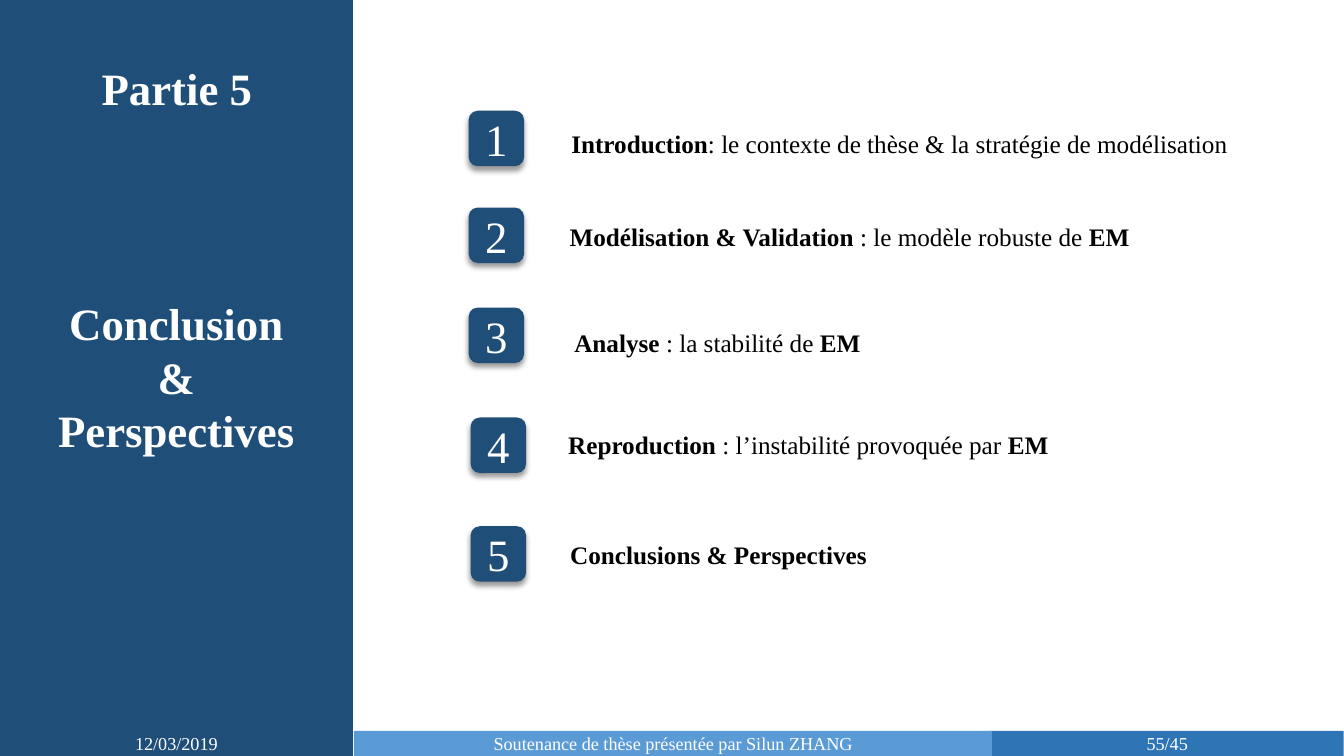
from lxml import etree
from pptx import Presentation, util as u
from pptx.dml.color import RGBColor
from pptx.enum import shapes, text
from pptx.oxml import ns

NAVY, BLUE, SKY, WHITE, BLACK = "1F4E79", "2E75B6", "5B9BD5", "FFFFFF", "000000"
FACE = "Times New Roman"
HEADING = {"size": u.Pt(32), "name": FACE, "bold": True}
DIGIT = {"size": u.Pt(32), "name": FACE}
FOOTER = {"size": u.Pt(13), "name": FACE}
TOPIC = {"size": u.Pt(18), "name": FACE}

CENTER, LEFT = text.PP_ALIGN.CENTER, text.PP_ALIGN.LEFT

AGENDA = [
    (11.81, 2.79, 14.07, 3.1, 17.2, CENTER,
     [("Introduction", True),
      (": le contexte de thèse & la stratégie de modélisation", False)]),
    (11.81, 5.23, 14.07, 5.46, 14.68, CENTER,
     [("Modélisation & Validation", True),
      (" : le modèle robuste de ", False), ("EM", True)]),
    (11.81, 7.75, 14.22, 8.13, 7.72, CENTER,
     [("Analyse ", True), (": la stabilité de ", False), ("EM", True)]),
    (11.86, 10.52, 14.07, 10.69, 12.67, LEFT,
     [("Reproduction", True),
      (" : l’instabilité provoquée par ", False), ("EM", True)]),
    (11.86, 13.26, 14.07, 13.46, 8.08, CENTER,
     [("Conclusions & Perspectives", True)]),
]

FOOTERS = [
    (24.97, 8.89, BLUE, "55/45"),
    (0, 8.89, NAVY, "12/03/2019"),
    (8.92, 16.08, SKY, "Soutenance de thèse présentée par Silun ZHANG"),
]


def colour(value):
    return RGBColor.from_string(value)


def assign(target, values):
    for key, value in values.items():
        setattr(target, key, value)


def cm_box(left, top, width, height):
    return [u.Cm(length) for length in (left, top, width, height)]


def write(paragraph, pieces, style, ink, align=CENTER):
    paragraph.alignment = align
    for wording, bold in pieces:
        run = paragraph.add_run()
        run.text = wording
        assign(run.font, {**style, "bold": bold})
        run.font.color.rgb = colour(ink)


def add_panel(slide, kind, box, fill, label="", style=None):
    panel = slide.shapes.add_shape(kind, *cm_box(*box))
    panel.shadow.inherit = False
    panel.fill.solid()
    panel.fill.fore_color.rgb = colour(fill)
    panel.line.fill.background()
    if label:
        panel.text_frame.vertical_anchor = text.MSO_ANCHOR.MIDDLE
        write(panel.text_frame.paragraphs[0], [(label, False)], style, WHITE)
    return panel


def add_label(slide, box, pieces, style, ink, align=CENTER):
    frame = slide.shapes.add_textbox(*cm_box(*box)).text_frame
    assign(frame, {"word_wrap": False,
                   "auto_size": text.MSO_AUTO_SIZE.SHAPE_TO_FIT_TEXT})
    write(frame.paragraphs[0], pieces, style, ink, align)


def drop_shadow(badge):
    effects = badge._element.spPr.find(ns.qn("a:effectLst"))
    shadow = etree.SubElement(
        effects, ns.qn("a:outerShdw"), blurRad=str(u.Pt(4)),
        dist=str(u.Pt(3)), dir="5400000", algn="t", rotWithShape="0")
    tint = etree.SubElement(shadow, ns.qn("a:srgbClr"), val=BLACK)
    etree.SubElement(tint, ns.qn("a:alpha"), val="40000")


def add_sidebar(slide):
    sidebar = add_panel(slide, shapes.MSO_SHAPE.RECTANGLE,
                        (0, 0, 8.89, 19.05), NAVY)
    sidebar.line.color.rgb = colour(NAVY)
    sidebar.line.width = u.Pt(1)
    add_label(slide, (2.29, 1.4, 4.34, 1.62), [("Partie 5", True)],
              HEADING, WHITE)


def set_title(slide):
    title = slide.shapes.title
    slide.shapes._spTree.append(title._element)
    edges = ("left", "top", "width", "height")
    assign(title, dict(zip(edges, cm_box(0.18, 7.32, 8.53, 4.37))))
    frame = title.text_frame
    assign(frame, {"word_wrap": True,
                   "vertical_anchor": text.MSO_ANCHOR.TOP,
                   "auto_size": text.MSO_AUTO_SIZE.SHAPE_TO_FIT_TEXT})
    for index, wording in enumerate(("Conclusion", "&", "Perspectives")):
        paragraph = frame.add_paragraph() if index else frame.paragraphs[0]
        write(paragraph, [(wording, True)], HEADING, WHITE)


def add_topic(slide, number, topic):
    badge_left, badge_top, left, top, width, align, pieces = topic
    badge = add_panel(slide, shapes.MSO_SHAPE.ROUNDED_RECTANGLE,
                      (badge_left, badge_top, 1.4, 1.4), NAVY,
                      str(number), DIGIT)
    drop_shadow(badge)
    add_label(slide, (left, top, width, 1.02), pieces, TOPIC, BLACK, align)


def main():
    deck = Presentation()
    deck.slide_width, deck.slide_height = u.Cm(33.87), u.Cm(19.05)
    slide = deck.slides.add_slide(deck.slide_layouts.get_by_name("Title Only"))
    add_sidebar(slide)
    set_title(slide)
    for left, width, fill, label in FOOTERS:
        add_panel(slide, shapes.MSO_SHAPE.RECTANGLE,
                  (left, 18.42, width, 0.63), fill, label, FOOTER)
    for number, topic in enumerate(AGENDA, 1):
        add_topic(slide, number, topic)
    deck.save("out.pptx")


if __name__ == "__main__":
    main()
